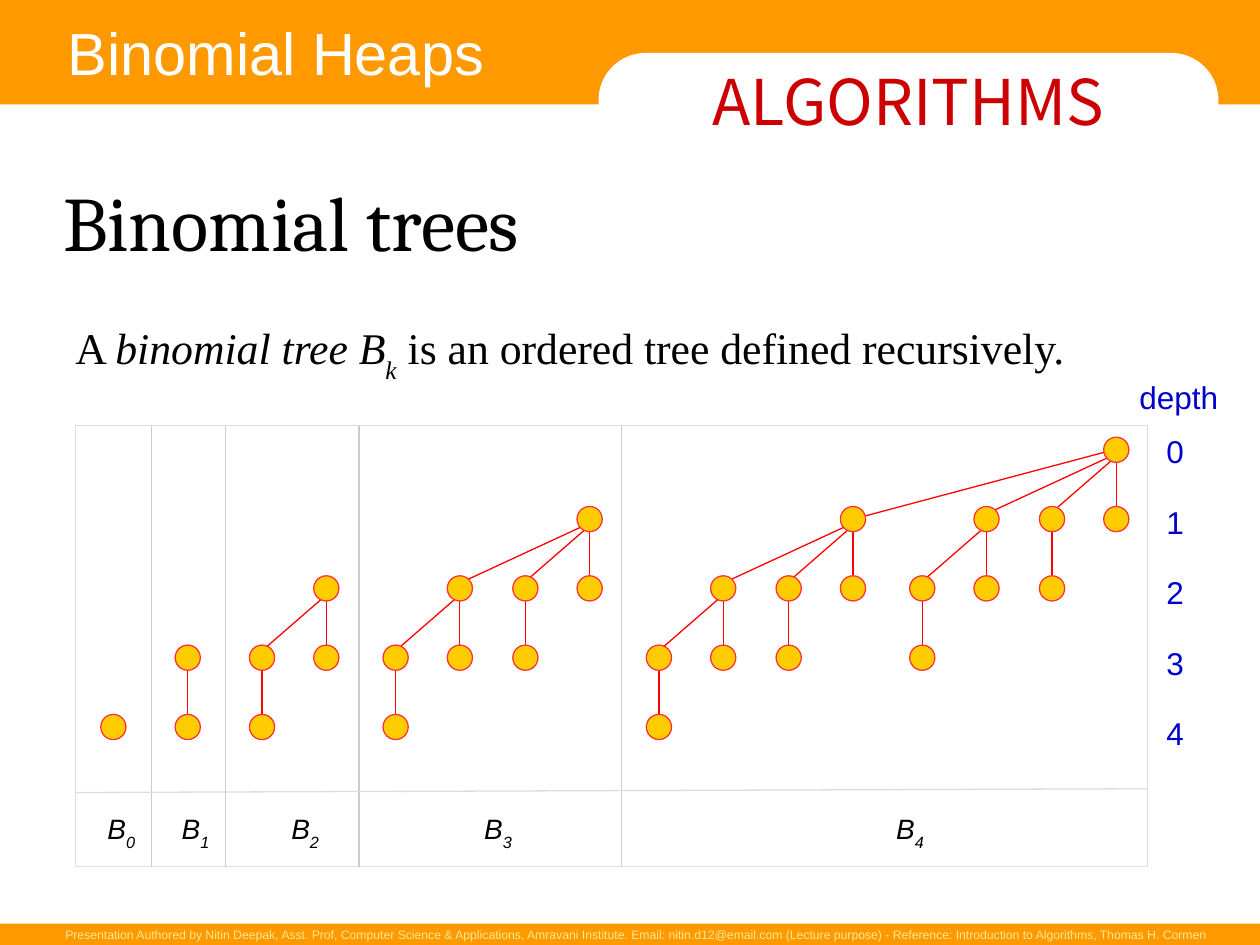
from dataclasses import dataclass

from lxml import etree
from pptx import Presentation
from pptx.dml.color import RGBColor
from pptx.enum.shapes import MSO_CONNECTOR, MSO_SHAPE
from pptx.enum.text import MSO_ANCHOR, MSO_AUTO_SIZE, PP_ALIGN
from pptx.oxml.ns import qn
from pptx.util import Inches, Pt

LEFT, CENTER, RIGHT = PP_ALIGN.LEFT, PP_ALIGN.CENTER, PP_ALIGN.RIGHT
TOP, MIDDLE = MSO_ANCHOR.TOP, MSO_ANCHOR.MIDDLE
NO_AUTOFIT = MSO_AUTO_SIZE.NONE
STRAIGHT = MSO_CONNECTOR.STRAIGHT
RECTANGLE, ROUNDED, OVAL = MSO_SHAPE.RECTANGLE, MSO_SHAPE.ROUNDED_RECTANGLE, MSO_SHAPE.OVAL


@dataclass(frozen=True)
class TextStyle:
    size: float
    font: str
    color: str


@dataclass(frozen=True)
class Theme:
    band: str = "FF9900"
    paper: str = "FFFFFF"
    node: str = "FFCC00"
    node_edge: str = "FF3333"
    branch: str = "FF0000"
    frame: str = "DDDDDD"
    divider: str = "CCCCCC"
    course: TextStyle = TextStyle(36, "Noto Sans CJK KR", "CC0000")
    chapter: TextStyle = TextStyle(34, "Arial", "FFFFFF")
    credit: TextStyle = TextStyle(7, "Arial", "FDE891")
    title: TextStyle = TextStyle(44, "Cambria", "000000")
    body: TextStyle = TextStyle(25, "Times New Roman", "000000")
    tree_name: TextStyle = TextStyle(16, "Arial", "000000")
    depth: TextStyle = TextStyle(18, "Arial", "0000CC")


@dataclass(frozen=True)
class Branch:
    shift: float
    start: tuple
    end: tuple


BRANCHES = (
    Branch(0, (0, 0.1), (0, -0.1)),
    Branch(0.51, (-0.01, 0.06), (0.04, -0.09)),
    Branch(1.03, (-0.04, 0.05), (0.06, -0.07)),
    Branch(2.09, (-0.06, 0.01), (0.04, -0.01)),
)
ROOT_Y, LEVEL_STEP, MAX_DEPTH = 3.57, 0.55, 4
NODE_SIZE = 0.2


class SlideBuilder:
    def __init__(self, slide, theme):
        self.slide = slide
        self.theme = theme

    def fill_text(self, frame, runs, style, align=LEFT, anchor=TOP, wrap=True, inset=(0.1, 0.05), space=0):
        frame.word_wrap = wrap
        frame.auto_size = NO_AUTOFIT
        frame.vertical_anchor = anchor
        frame.margin_left = frame.margin_right = Inches(inset[0])
        frame.margin_top = frame.margin_bottom = Inches(inset[1])
        paragraph = frame.paragraphs[0]
        paragraph.alignment = align
        paragraph.space_before = Pt(space)
        for words, italic, subscript in runs:
            run = paragraph.add_run()
            run.text = words
            run.font.size = Pt(style.size)
            run.font.name = style.font
            run.font.italic = italic
            run.font.color.rgb = RGBColor.from_string(style.color)
            if subscript:
                run.font._element.set("baseline", "-33000")

    def title(self, words, box):
        heading = self.slide.shapes.title
        heading.left, heading.top, heading.width, heading.height = map(Inches, box)
        self.fill_text(heading.text_frame, [(words, False, False)], self.theme.title,
                       anchor=MIDDLE, inset=(0, 0))

    def text(self, runs, box, style, **layout):
        if isinstance(runs, str):
            runs = [(runs, False, False)]
        area = self.slide.shapes.add_textbox(*map(Inches, box))
        self.fill_text(area.text_frame, runs, style, **layout)

    def shape(self, kind, box, fill=None, line=None, weight=0.75):
        figure = self.slide.shapes.add_shape(kind, *map(Inches, box))
        figure.shadow.inherit = False
        if fill:
            figure.fill.solid()
            figure.fill.fore_color.rgb = RGBColor.from_string(fill)
        else:
            figure.fill.background()
        if line:
            figure.line.color.rgb = RGBColor.from_string(line)
            figure.line.width = Pt(weight)
        else:
            figure.line.fill.background()
        return figure

    def line(self, start, end, color):
        connector = self.slide.shapes.add_connector(STRAIGHT, *map(Inches, (*start, *end)))
        connector.line.color.rgb = RGBColor.from_string(color)
        connector.line.width = Pt(0.75)
        etree.SubElement(connector._element.spPr, qn("a:effectLst"))

    def tree(self, order, x, depth):
        y = ROOT_Y + depth * LEVEL_STEP
        child_y = y + LEVEL_STEP
        for child_order, branch in enumerate(BRANCHES[:order]):
            child_x = x - branch.shift
            self.line((x + branch.start[0], y + branch.start[1]),
                      (child_x + branch.end[0], child_y + branch.end[1]), self.theme.branch)
            self.tree(child_order, child_x, depth + 1)
        self.shape(OVAL, (x - NODE_SIZE / 2, y - NODE_SIZE / 2, NODE_SIZE, NODE_SIZE),
                   self.theme.node, self.theme.node_edge)


def main():
    deck = Presentation()
    deck.slide_width, deck.slide_height = Inches(10), Inches(7.5)
    theme = Theme()
    page = SlideBuilder(deck.slides.add_slide(deck.slide_layouts[5]), theme)

    page.shape(RECTANGLE, (0, 0, 10, 0.83), theme.band)
    course = page.shape(ROUNDED, (4.75, 0.42, 4.92, 0.75), theme.paper)
    course.adjustments[0] = 0.5
    page.fill_text(course.text_frame, [("ALGORITHMS", False, False)], theme.course,
                   align=CENTER, anchor=MIDDLE, wrap=False)
    page.shape(RECTANGLE, (0, 7.33, 10, 0.17), theme.band)
    page.text("Presentation Authored by Nitin Deepak, Asst. Prof, Computer Science & Applications, "
              "Amravani Institute. Email: nitin.d12@email.com (Lecture purpose) - "
              "Reference: Introduction to Algorithms, Thomas H. Cormen",
              (0.42, 7.31, 9.25, 0.22), theme.credit, align=RIGHT, wrap=False)
    page.text("Binomial Heaps", (0.14, 0.08, 4.1, 0.66), theme.chapter, align=CENTER)

    page.title("Binomial trees", (0.5, 1.13, 9, 1.25))
    definition = [("A ", False, False), ("binomial tree B", True, False), ("k", True, True),
                  (" is an ordered tree defined recursively.", False, False)]
    page.text(definition, (0.5, 2.5, 9, 0.6), theme.body, space=8)

    root_xs = (0.9, 1.49, 2.59, 4.68, 8.86)
    name_lefts = (0.73, 1.32, 2.19, 3.72, 6.99)
    for order, (root_x, name_left) in enumerate(zip(root_xs, name_lefts)):
        page.tree(order, root_x, MAX_DEPTH - order)
        page.text([("B", True, False), (f"{order} ", True, True)],
                  (name_left, 6.39, 0.5, 0.42), theme.tree_name, align=CENTER)

    page.shape(RECTANGLE, (0.6, 3.38, 8.51, 3.5), line=theme.frame, weight=0.5)
    for divider_x in (1.2, 1.79, 2.85, 4.93):
        page.line((divider_x, 3.38), (divider_x, 6.88), theme.divider)
    page.line((0.6, 6.29), (9.11, 6.26), theme.frame)

    for depth in range(MAX_DEPTH + 1):
        page.text(str(depth), (9.16, 3.38 + depth * 0.56, 0.33, 0.39), theme.depth, wrap=False)
    page.text("depth", (8.91, 2.95, 0.89, 0.39), theme.depth, align=CENTER)

    deck.save("out.pptx")


if __name__ == "__main__":
    main()
